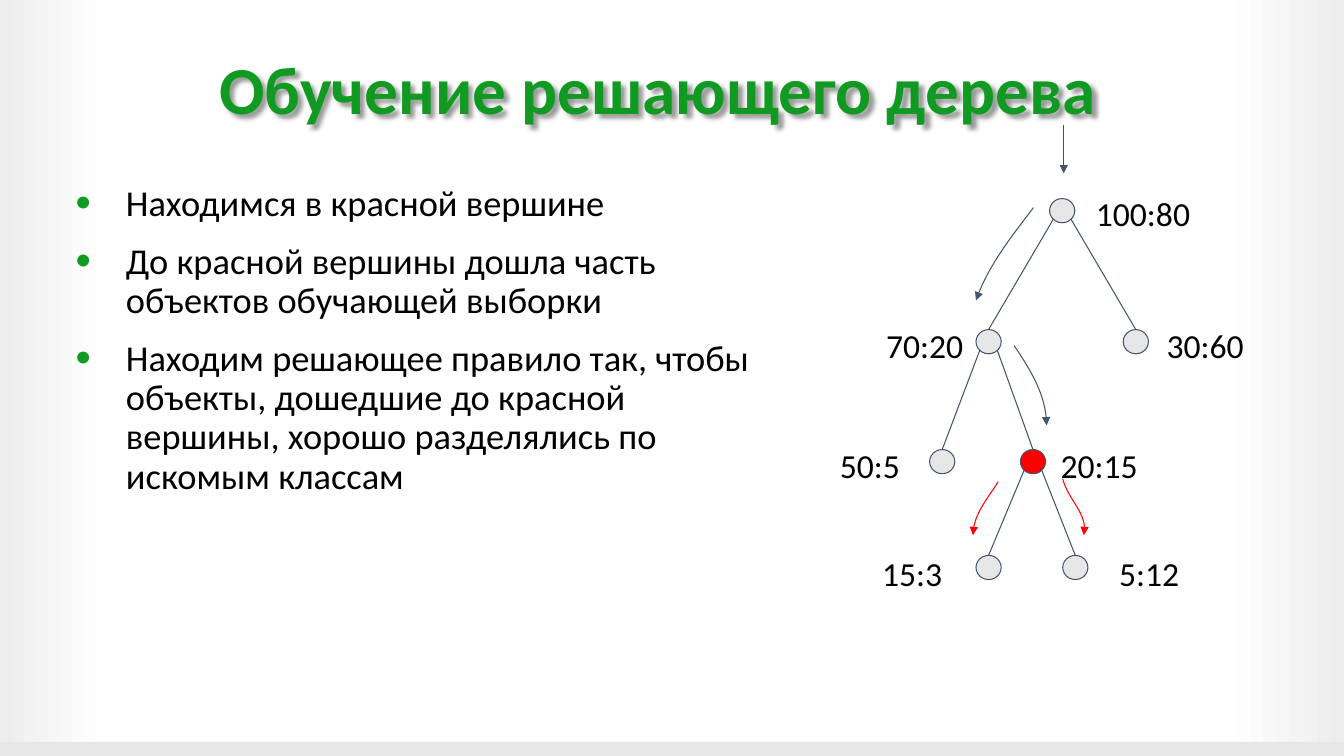
from dataclasses import dataclass
from math import sqrt

from lxml.etree import SubElement
from pptx import Presentation
from pptx.dml.color import RGBColor
from pptx.enum.shapes import MSO_CONNECTOR as Connector, MSO_SHAPE as Preset
from pptx.enum.text import PP_ALIGN as Align
from pptx.oxml.ns import qn
from pptx.util import Pt

PX = 9144  # EMU in one px, 100 px to the inch
Point = tuple[int, int]


@dataclass(frozen=True)
class Theme:
    font: str = "Calibri"
    green: str = "119A22"
    black: str = "000000"
    red: str = "FF0000"
    slate: str = "44546A"
    gray: str = "E7E6E6"
    title_size: int = 48
    body_size: int = 26
    label_size: int = 24
    line_width: float = 0.75
    background: tuple = ((0, "EDEDED"), (8, "FFFFFF"), (91, "FFFFFF"), (100, "EDEDED"))


THEME = Theme()


@dataclass(frozen=True)
class Node:
    left: int
    top: int
    label: str
    label_left: int
    label_top: int
    parent: str = ""
    fill: str = THEME.gray


@dataclass(frozen=True)
class Curve:
    start: Point
    bends: tuple[Point, Point]
    end: Point
    color: str = THEME.slate


SLIDE_WIDTH, SLIDE_HEIGHT = 1333, 750
NODE_WIDTH, NODE_HEIGHT = 25, 24

TITLE = "Обучение решающего дерева"
BULLETS = (
    "Находимся в красной вершине",
    "До красной вершины дошла часть объектов обучающей выборки",
    "Находим решающее правило так, чтобы объекты, дошедшие до красной "
    "вершины, хорошо разделялись по искомым классам",
)
NODES = (
    Node(1041, 197, "100:80", 1074, 178),
    Node(968, 327, "70:20", 866, 309, "100:80"),
    Node(1114, 327, "30:60", 1144, 309, "100:80"),
    Node(922, 446, "50:5", 820, 428, "70:20"),
    Node(1012, 446, "20:15", 1039, 428, "70:20", THEME.red),
    Node(968, 551, "15:3", 862, 536, "20:15"),
    Node(1054, 551, "5:12", 1097, 536, "20:15"),
)
CURVES = (
    Curve((1025, 206), ((1003, 235), (980, 264)), (968, 298)),
    Curve((1006, 343), ((1022, 367), (1038, 393)), (1038, 422)),
    Curve((990, 478), ((980, 494), (965, 511)), (965, 531), THEME.red),
    Curve((1054, 475), ((1059, 494), (1080, 511)), (1075, 531), THEME.red),
)


def rgb(color: str) -> RGBColor:
    return RGBColor.from_string(color)


def style_line(shape, color: str, arrow: bool = False) -> None:
    shape.line.color.rgb = rgb(color)
    shape.line.width = Pt(THEME.line_width)
    if arrow:
        outline = next(shape.element.iter(qn("a:ln")))
        SubElement(outline, qn("a:tailEnd"), type="triangle")


def add_text(page, left: int, top: int, width: int, height: int, texts: tuple[str, ...], *,
             size: int, color: str = THEME.black, bold: bool = False, align=Align.LEFT,
             inset: Point = (13, 13), wrap: bool = True, bullets: bool = False):
    box = page.shapes.add_textbox(left * PX, top * PX, width * PX, height * PX)
    frame = box.text_frame
    frame.word_wrap = wrap
    frame.margin_left = frame.margin_right = inset[0] * PX
    frame.margin_top = frame.margin_bottom = inset[1] * PX
    for index, text in enumerate(texts):
        para = frame.add_paragraph() if index else frame.paragraphs[0]
        para.alignment = align
        if bullets:
            para.line_spacing = 0.9
            para.space_before = Pt(13 if index else 0)
            add_bullet(para)
        span = para.add_run()
        span.text = text
        span.font.name = THEME.font
        span.font.size = Pt(size)
        span.font.bold = bold
        span.font.color.rgb = rgb(color)
    return box


def add_bullet(para) -> None:
    props = para._p.get_or_add_pPr()
    props.set("marL", str(67 * PX))
    props.set("indent", str(-50 * PX))
    SubElement(SubElement(props, qn("a:buClr")), qn("a:srgbClr"), val=THEME.green)
    SubElement(props, qn("a:buSzPct"), val="120000")
    SubElement(props, qn("a:buFont"), typeface="Arial")
    SubElement(props, qn("a:buChar"), char="•")


def add_soft_shadow(box) -> None:
    box.shadow.inherit = False
    effects = next(box.element.iter(qn("a:effectLst")))
    shadow = SubElement(effects, qn("a:outerShdw"), blurRad="38100", dist="38100", dir="2700000")
    color = SubElement(shadow, qn("a:srgbClr"), val=THEME.black)
    SubElement(color, qn("a:alpha"), val="40000")


def add_preset(page, preset, left: int, top: int, width: int, height: int, fill: str):
    shape = page.shapes.add_shape(preset, left * PX, top * PX, width * PX, height * PX)
    shape.shadow.inherit = False
    shape.fill.solid()
    shape.fill.fore_color.rgb = rgb(fill)
    shape.line.fill.background()
    return shape


def add_straight(page, start: Point, end: Point, arrow: bool = False):
    ends = [value * PX for value in start + end]
    line = page.shapes.add_connector(Connector.STRAIGHT, *ends)
    style_line(line, THEME.slate, arrow)
    SubElement(line.element.spPr, qn("a:effectLst"))
    return line


def add_curve(page, curve: Curve) -> None:
    builder = page.shapes.build_freeform(*curve.start, scale=PX)
    builder.add_line_segments((*curve.bends, curve.end), close=False)
    shape = builder.convert_to_shape()
    outline = next(shape.element.iter(qn("a:path")))
    segments = outline.findall(qn("a:lnTo"))
    bezier = SubElement(outline, qn("a:cubicBezTo"))
    for segment in segments:
        bezier.append(segment[0])
        outline.remove(segment)
    shape.shadow.inherit = False
    shape.fill.background()
    style_line(shape, curve.color, arrow=True)


def add_tree(page) -> None:
    placed = {}
    for node in NODES:
        circle = add_preset(page, Preset.OVAL, node.left, node.top, NODE_WIDTH, NODE_HEIGHT, node.fill)
        style_line(circle, THEME.slate)
        if node.parent:
            # An edge leaves the parent's lower diagonal on the child's side
            parent = placed[node.parent]
            side = 1 if node.left > parent.left else -1
            start = (round(parent.left + NODE_WIDTH * (2 + side * sqrt(2)) / 4),
                     round(parent.top + NODE_HEIGHT * (2 + sqrt(2)) / 4))
            edge = add_straight(page, start, (node.left + NODE_WIDTH // 2, node.top))
            edge.end_connect(circle, 0)
        placed[node.label] = node
        add_text(page, node.label_left, node.label_top, 136, 28, (node.label,),
                 size=THEME.label_size, wrap=False)


def paint_background(page) -> None:
    fill = page.background.fill
    fill.gradient()
    fill.gradient_angle = 0
    stops = next(page.element.iter(qn("a:gsLst")))
    for stop in list(stops):
        stops.remove(stop)
    for percent, color in THEME.background:
        stop = SubElement(stops, qn("a:gs"), pos=str(percent * 1000))
        SubElement(stop, qn("a:srgbClr"), val=color)


def main() -> None:
    deck = Presentation()
    deck.slide_width, deck.slide_height = SLIDE_WIDTH * PX, SLIDE_HEIGHT * PX
    page = deck.slides.add_slide(deck.slide_layouts[6])

    # Background and footer strip
    paint_background(page)
    add_preset(page, Preset.RECTANGLE, 0, 736, SLIDE_WIDTH, 14, THEME.gray)

    # Decision tree with the route of the objects
    add_tree(page)
    add_straight(page, (1055, 124), (1055, 172), arrow=True)
    for curve in CURVES:
        add_curve(page, curve)

    # Title and bullets
    title = add_text(page, 170, 42, 965, 91, (TITLE,), size=THEME.title_size, color=THEME.green,
                     bold=True, align=Align.CENTER, inset=(10, 5))
    add_soft_shadow(title)
    add_text(page, 45, 171, 740, 495, BULLETS, size=THEME.body_size, bullets=True)

    deck.save("out.pptx")


if __name__ == "__main__":
    main()
